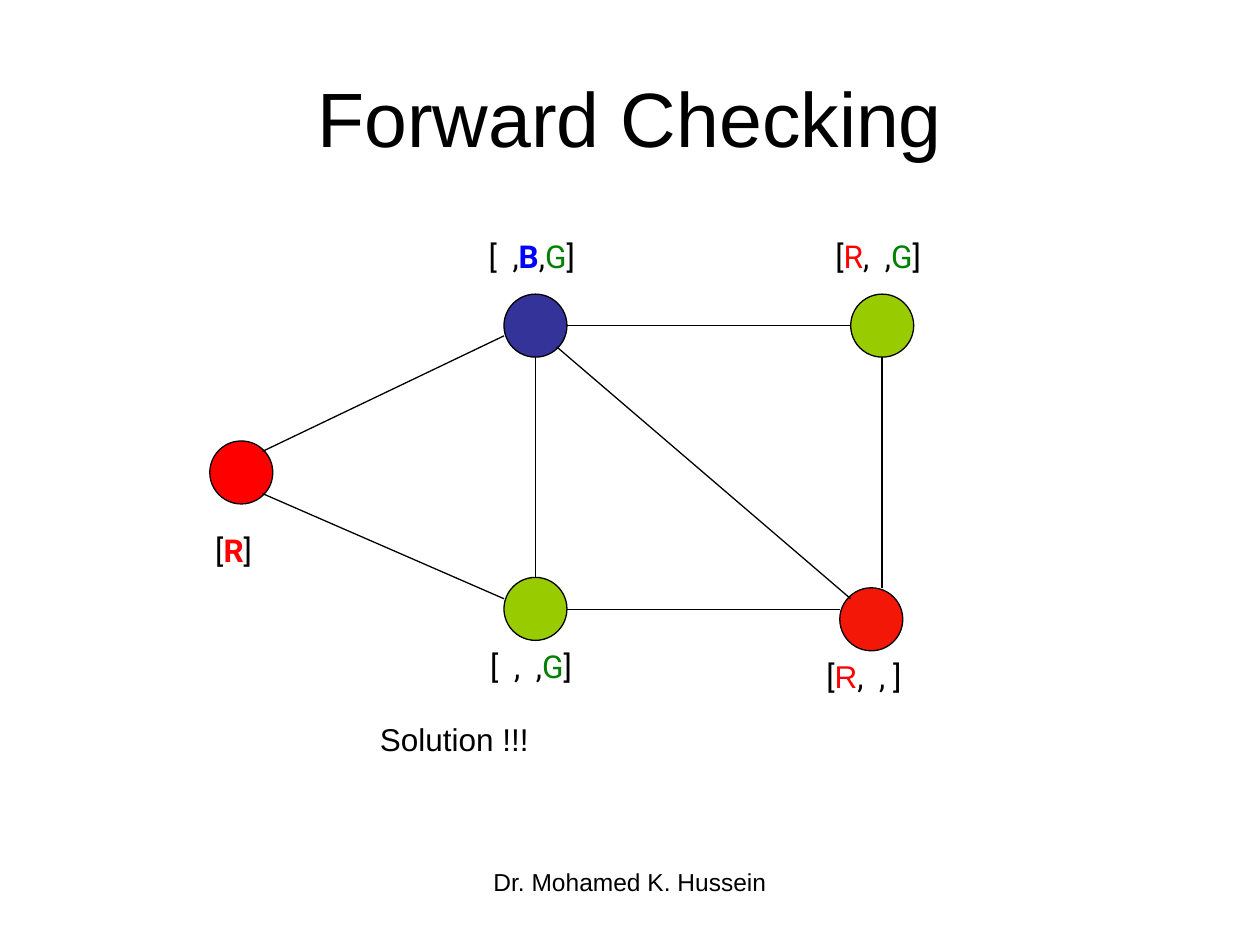
from dataclasses import dataclass
from itertools import groupby

from lxml import etree
from pptx import Presentation
from pptx.dml.color import RGBColor
from pptx.enum.shapes import MSO_CONNECTOR, MSO_SHAPE
from pptx.enum.text import MSO_ANCHOR, PP_ALIGN
from pptx.oxml.ns import qn
from pptx.util import Cm, Pt

OVAL = MSO_SHAPE.OVAL
STRAIGHT = MSO_CONNECTOR.STRAIGHT
LEFT, CENTER = PP_ALIGN.LEFT, PP_ALIGN.CENTER
TOP, MIDDLE = MSO_ANCHOR.TOP, MSO_ANCHOR.MIDDLE


@dataclass(frozen=True)
class Theme:
    font: str = "Arial"
    label_font: str = "Roboto"
    title_size: int = 44
    body_size: int = 18
    footer_size: int = 14
    line_width: float = 0.75
    ink: str = "000000"
    red: str = "FF0000"
    dark_red: str = "F21706"
    lime: str = "99CC00"
    navy: str = "333399"
    blue: str = "0000FF"
    green: str = "008000"


THEME = Theme()
LETTER_COLORS = {"R": THEME.red, "G": THEME.green, "B": THEME.blue}
DIAMETER = 1.27

# Graph nodes: left, top, fill
NODES = [
    (4.23, 8.89, THEME.red),
    (10.16, 11.64, THEME.lime),
    (10.16, 5.93, THEME.navy),
    (16.93, 11.85, THEME.dark_red),
    (17.15, 5.93, THEME.lime),
]

# Graph edges: start x, start y, end x, end y
EDGES = [
    (5.29, 9.1, 10.16, 6.77),
    (5.29, 9.95, 10.16, 12.07),
    (10.8, 7.2, 10.8, 11.64),
    (11.43, 6.56, 17.15, 6.56),
    (17.78, 7.2, 17.78, 11.85),
    (11.43, 12.28, 16.93, 12.28),
    (11.22, 6.99, 17.15, 12.07),
]

# Remaining domains: left, top, width, text, bold letter, letter font
DOMAINS = [
    (4.09, 10.58, 1.35, "[R]", "R", THEME.label_font),
    (16.59, 4.66, 2.44, "[R,  ,G]", "", THEME.label_font),
    (9.6, 4.66, 2.49, "[  ,B,G]", "B", THEME.label_font),
    (9.63, 12.91, 2.39, "[  ,  ,G]", "", THEME.label_font),
    (16.41, 13.12, 2.21, "[R,  , ]", "", THEME.font),
]


def rgb(color):
    return RGBColor.from_string(color)


def add_box(s, left, top, width, height, wrap=True, anchor=TOP):
    tf = s.shapes.add_textbox(Cm(left), Cm(top), Cm(width), Cm(height)).text_frame
    tf.word_wrap = wrap
    tf.vertical_anchor = anchor
    return tf


def add_text(s, left, top, width, height, text, size, align=LEFT, anchor=TOP):
    p = add_box(s, left, top, width, height, anchor=anchor).paragraphs[0]
    p.text = text
    p.alignment = align
    p.font.name = THEME.font
    p.font.size = Pt(size)
    p.font.color.rgb = rgb(THEME.ink)


def add_node(s, left, top, fill):
    sp = s.shapes.add_shape(OVAL, Cm(left), Cm(top), Cm(DIAMETER), Cm(DIAMETER))
    sp.shadow.inherit = False
    sp.fill.solid()
    sp.fill.fore_color.rgb = rgb(fill)
    sp.line.color.rgb = rgb(THEME.ink)
    sp.line.width = Pt(THEME.line_width)


def add_edge(s, *ends):
    line = s.shapes.add_connector(STRAIGHT, *map(Cm, ends))
    line.line.color.rgb = rgb(THEME.ink)
    line.line.width = Pt(THEME.line_width)
    etree.SubElement(line._element.spPr, qn("a:effectLst"))


def add_domain(s, left, top, width, text, bold_letter, letter_font):
    p = add_box(s, left, top, width, 1.02, wrap=False).paragraphs[0]
    p.font.size = Pt(THEME.body_size)
    # Each colour letter is its own run; punctuation between stays together
    for letter, chars in groupby(text, lambda c: c if c in LETTER_COLORS else ""):
        r = p.add_run()
        r.text = "".join(chars)
        r.font.name = letter_font if letter else THEME.label_font
        r.font.bold = letter != "" and letter == bold_letter
        r.font.color.rgb = rgb(LETTER_COLORS.get(letter, THEME.ink))


def main():
    prs = Presentation()
    prs.slide_width, prs.slide_height = Cm(25.4), Cm(19.05)
    s = prs.slides.add_slide(prs.slide_layouts[6])

    # Title
    add_text(s, 1.27, 0.76, 22.86, 3.18, "Forward Checking",
             THEME.title_size, CENTER, MIDDLE)

    # Constraint graph
    for node in NODES:
        add_node(s, *node)
    for edge in EDGES:
        add_edge(s, *edge)
    for domain in DOMAINS:
        add_domain(s, *domain)

    # Result and footer
    add_text(s, 7.41, 14.39, 6.99, 1.02, "Solution !!!", THEME.body_size)
    add_text(s, 8.68, 17.35, 8.04, 1.32, "Dr. Mohamed K. Hussein",
             THEME.footer_size, CENTER)

    prs.save("out.pptx")


if __name__ == "__main__":
    main()
